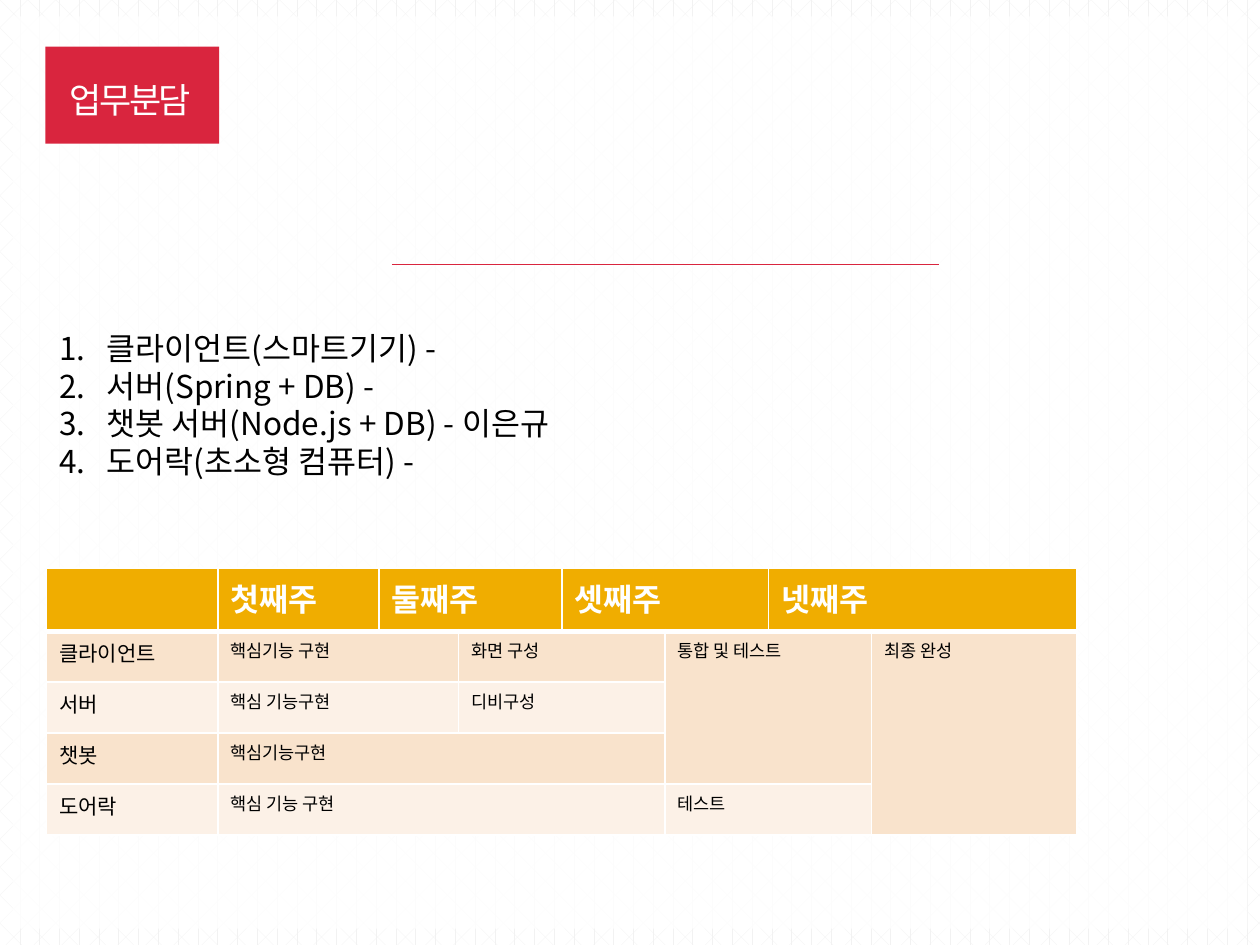
from dataclasses import dataclass
from pptx import Presentation
from pptx.dml.color import RGBColor
from pptx.enum.dml import MSO_PATTERN
from pptx.enum.shapes import MSO_CONNECTOR, MSO_SHAPE
from pptx.enum.text import MSO_ANCHOR, PP_ALIGN
from pptx.oxml.ns import qn
from pptx.oxml.xmlchemy import OxmlElement
from pptx.util import Inches, Pt


@dataclass(frozen=True)
class Theme:
    """Colours, fonts and type sizes of the slide."""
    white: str = "FFFFFF"
    black: str = "000000"
    hatch: str = "F2F2F2"
    red: str = "D9253E"
    gold: str = "F0AD00"
    bands: tuple = ("F9E3CC", "FCF1E7")
    face: str = "Noto Sans CJK KR"
    title: str = "Open Sans"
    big: int = 20
    body: int = 18
    label: int = 12
    small: int = 10


def child(node, tag, **attrs):
    """Append an XML child with the given attributes."""
    item = OxmlElement(tag)
    for key, val in attrs.items():
        item.set(key, str(val))
    node.append(item)
    return item


def tint(fill, code):
    """Make a fill solid in one colour."""
    fill.solid()
    fill.fore_color.rgb = RGBColor.from_string(code)


class Board:
    """Draw on one slide, on a grid of 100 columns by 75 rows."""

    def __init__(self, deck, theme):
        """Add a blank slide with a patterned ground."""
        self.theme = theme
        self.col, self.row = deck.slide_width / 100, deck.slide_height / 75
        self.slide = deck.slides.add_slide(deck.slide_layouts[6])
        self.shapes = self.slide.shapes
        fill = self.slide.background.fill
        fill.patterned()
        fill.pattern = MSO_PATTERN.DIVOT
        fill.fore_color.rgb = RGBColor.from_string(theme.hatch)
        fill.back_color.rgb = RGBColor.from_string(theme.white)

    def place(self, *cells):
        """Turn column and row pairs into lengths."""
        return [round(n * (self.row if i % 2 else self.col)) for i, n in enumerate(cells)]

    def style(self, para, size, code, face=None, bold=False):
        """Set the font of a paragraph and return its properties."""
        font, face = para.font, face or self.theme.face
        font.name, font.size, font.bold = face, Pt(size), bold
        font.color.rgb = RGBColor.from_string(code)
        props = para._p.get_or_add_pPr().find(qn("a:defRPr"))
        props.find(qn("a:latin")).addnext(child(props, "a:ea", typeface=face))
        return props

    def rect(self, box, code, alpha=100):
        """Add a plain rectangle."""
        shape = self.shapes.add_shape(MSO_SHAPE.RECTANGLE, *self.place(*box))
        shape.shadow.inherit = False
        shape.line.fill.background()
        tint(shape.fill, code)
        if alpha < 100:
            paint = shape._element.spPr.find(qn("a:solidFill"))[0]
            child(paint, "a:alpha", val=alpha * 1000)

    def frame(self, box):
        """Add a wrapping text box and return its frame."""
        text = self.shapes.add_textbox(*self.place(*box)).text_frame
        text.word_wrap = True
        return text

    def heading(self, box, words):
        """Add the centred, tightly spaced title."""
        text = self.frame(box)
        text.vertical_anchor = MSO_ANCHOR.MIDDLE
        para = text.paragraphs[0]
        para.text, para.alignment, para.line_spacing = words, PP_ALIGN.CENTER, 1.5
        self.style(para, self.theme.big, self.theme.white, self.theme.title).set("spc", "-150")

    def rule(self, start, end):
        """Add a thin straight line."""
        line = self.shapes.add_connector(MSO_CONNECTOR.STRAIGHT, *self.place(*start, *end))
        line.line.width = Pt(0.75)
        tint(line.line.fill, self.theme.red)
        child(line._element.spPr, "a:effectLst")

    def steps(self, box, items):
        """Add a numbered list."""
        text = self.frame(box)
        for i, words in enumerate(items):
            para = text.add_paragraph() if i else text.paragraphs[0]
            para.text = words
            props = self.style(para, self.theme.body, self.theme.black)
            indent = Inches(0.38)
            head = para._p.pPr
            head.set("marL", str(indent))
            head.set("indent", str(-indent))
            bullet = child(head, "a:buAutoNum", type="arabicPeriod")
            props.addprevious(bullet)

    def edge(self, cell, side, width):
        """Draw one white cell border."""
        line = child(cell._tc.get_or_add_tcPr(), f"a:ln{side}", w=Pt(width))
        child(child(line, "a:solidFill"), "a:srgbClr", val=self.theme.white)

    def grid(self, spot, cols, rows, plan):
        """Add a table from rows of (column, words, rows, columns)."""
        look = self.theme
        size = self.place(sum(cols), sum(rows))
        table = self.shapes.add_table(len(rows), len(cols), *self.place(*spot), *size).table
        for item, wide in zip(table.columns, cols):
            item.width = round(wide * self.col)
        for item, high in zip(table.rows, rows):
            item.height = round(high * self.row)
        for r, line in enumerate(plan):
            for c, words, down, across in line:
                table.cell(r, c).text = words
                if down * across > 1:
                    table.cell(r, c).merge(table.cell(r + down - 1, c + across - 1))
        for r in range(len(rows)):
            for c in range(len(cols)):
                cell = table.cell(r, c)
                for side in "LRTB":
                    thick = (r, side) in ((0, "B"), (1, "T"))
                    self.edge(cell, side, 3 if thick else 1)
                tint(cell.fill, look.bands[(r - 1) % 2] if r else look.gold)
                para = cell.text_frame.paragraphs[0]
                if r:
                    self.style(para, look.small if c else look.label, look.black)
                else:
                    self.style(para, look.body, look.white, bold=True)


def main():
    """Build the work-sharing slide."""
    deck = Presentation()
    deck.slide_width, deck.slide_height = Inches(10), Inches(7.5)
    look = Theme()
    board = Board(deck, look)
    board.rect((1, 1.3, 98, 72.4), look.white, 81)
    board.rect((3.6, 3.7, 13.8, 7.7), look.red)
    board.heading((3.7, 3.5, 13.3, 7.1), "업무분담")
    board.rule((31.1, 21), (74.5, 21))
    board.steps((3.7, 25.6, 89.8, 16.2), [
        "클라이언트(스마트기기) -",
        "서버(Spring + DB) -",
        "챗봇 서버(Node.js + DB) - 이은규",
        "도어락(초소형 컴퓨터) -",
    ])
    cols = [13.6, 12.8, 6.3] + [8.2] * 4 + [16.3]
    plan = [
        [(1, "첫째주", 1, 1), (2, "둘째주", 1, 2), (4, "셋째주", 1, 2), (6, "넷째주", 1, 2)],
        [(0, "클라이언트", 1, 1), (1, "핵심기능 구현", 1, 2), (3, "화면 구성", 1, 2),
         (5, "통합 및 테스트", 3, 2), (7, "최종 완성", 4, 1)],
        [(0, "서버", 1, 1), (1, "핵심 기능구현", 1, 2), (3, "디비구성", 1, 2)],
        [(0, "챗봇", 1, 1), (1, "핵심기능구현", 1, 4)],
        [(0, "도어락", 1, 1), (1, "핵심 기능 구현", 1, 4), (5, "테스트", 1, 2)],
    ]
    board.grid((3.7, 45.1), cols, [5] + [4.05] * 4, plan)
    deck.save("out.pptx")


if __name__ == "__main__":
    main()
